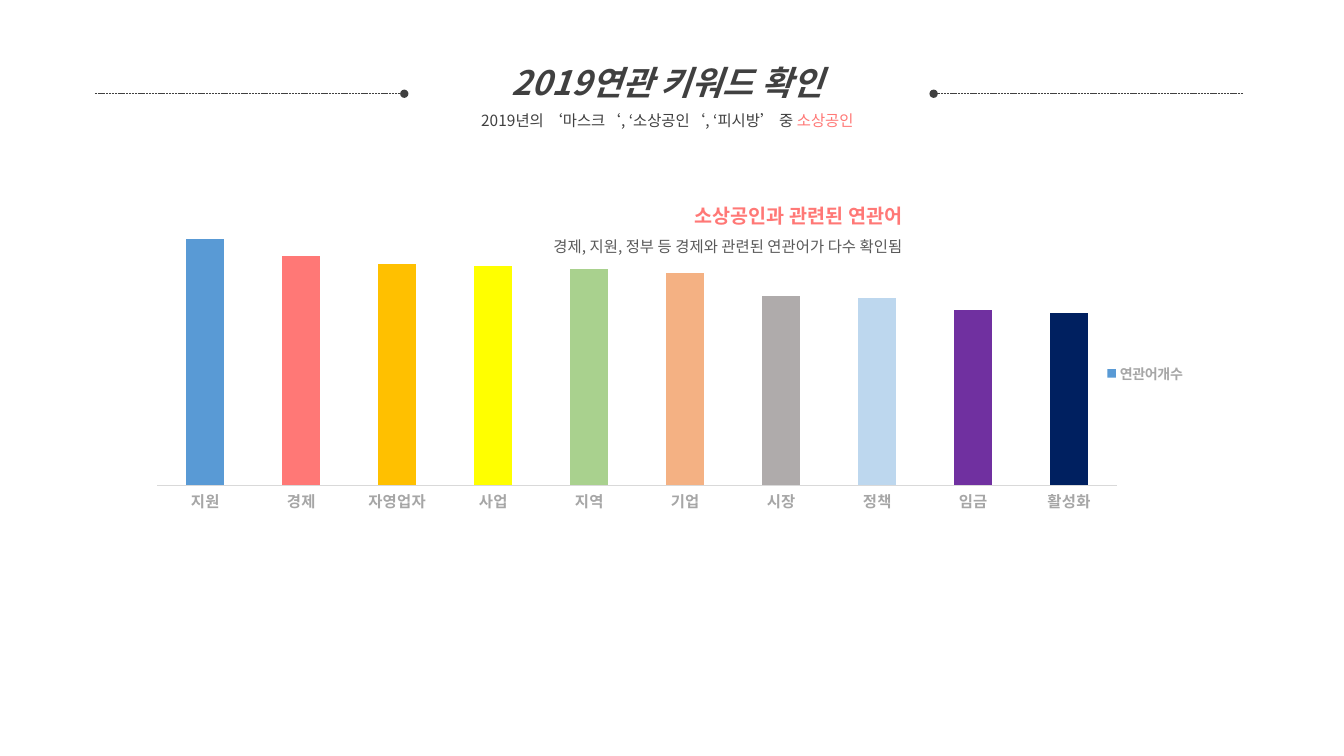
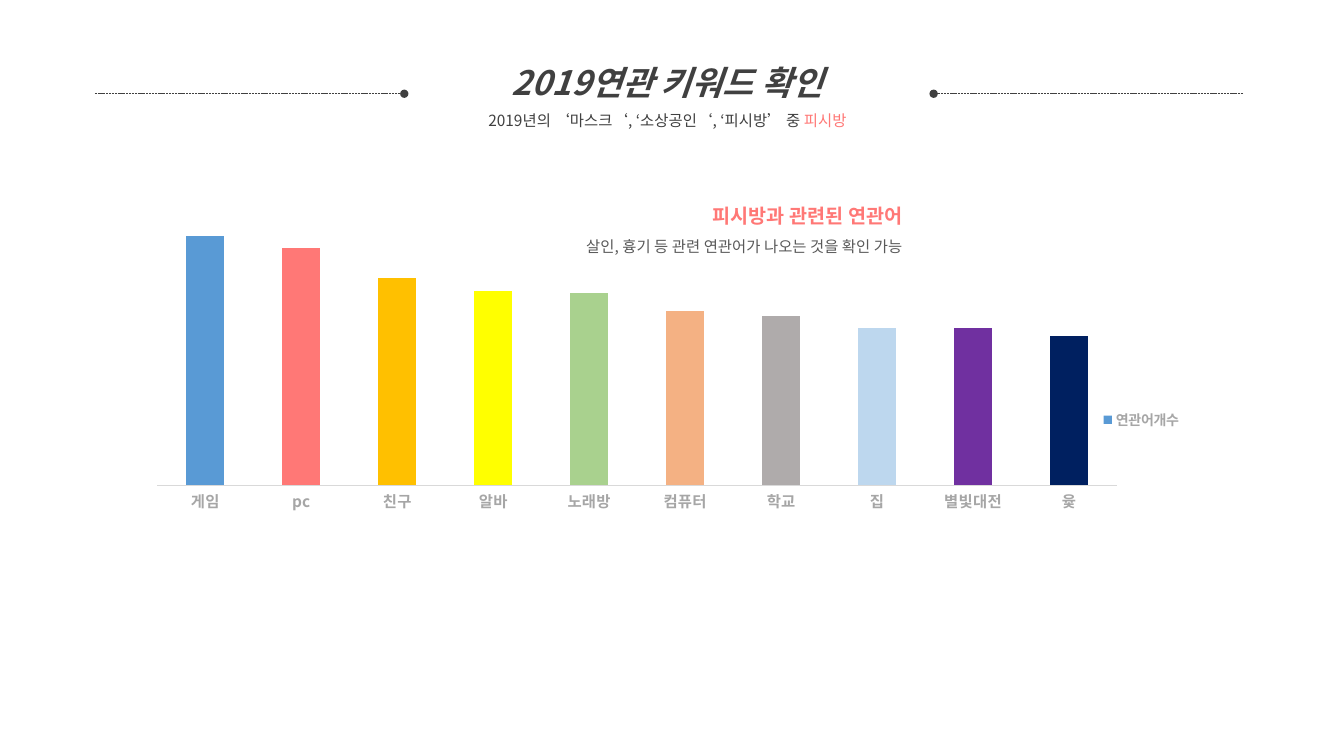
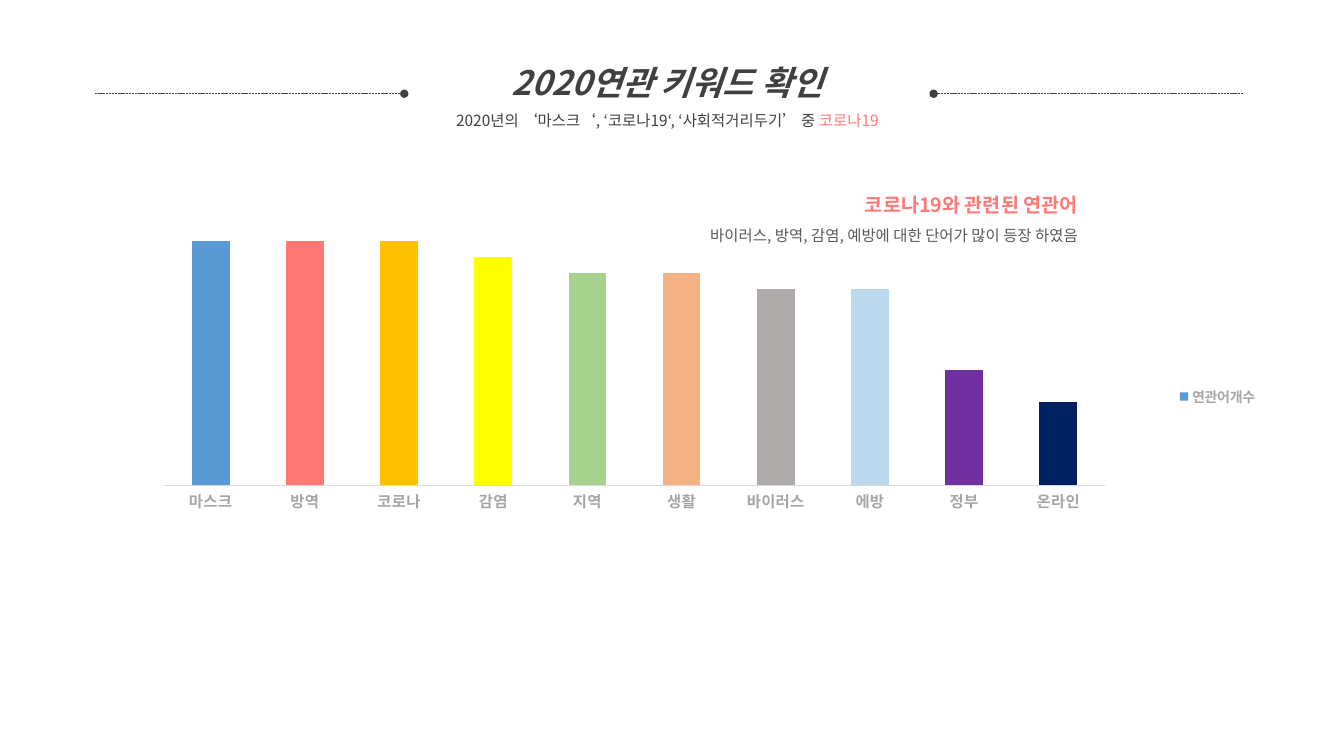
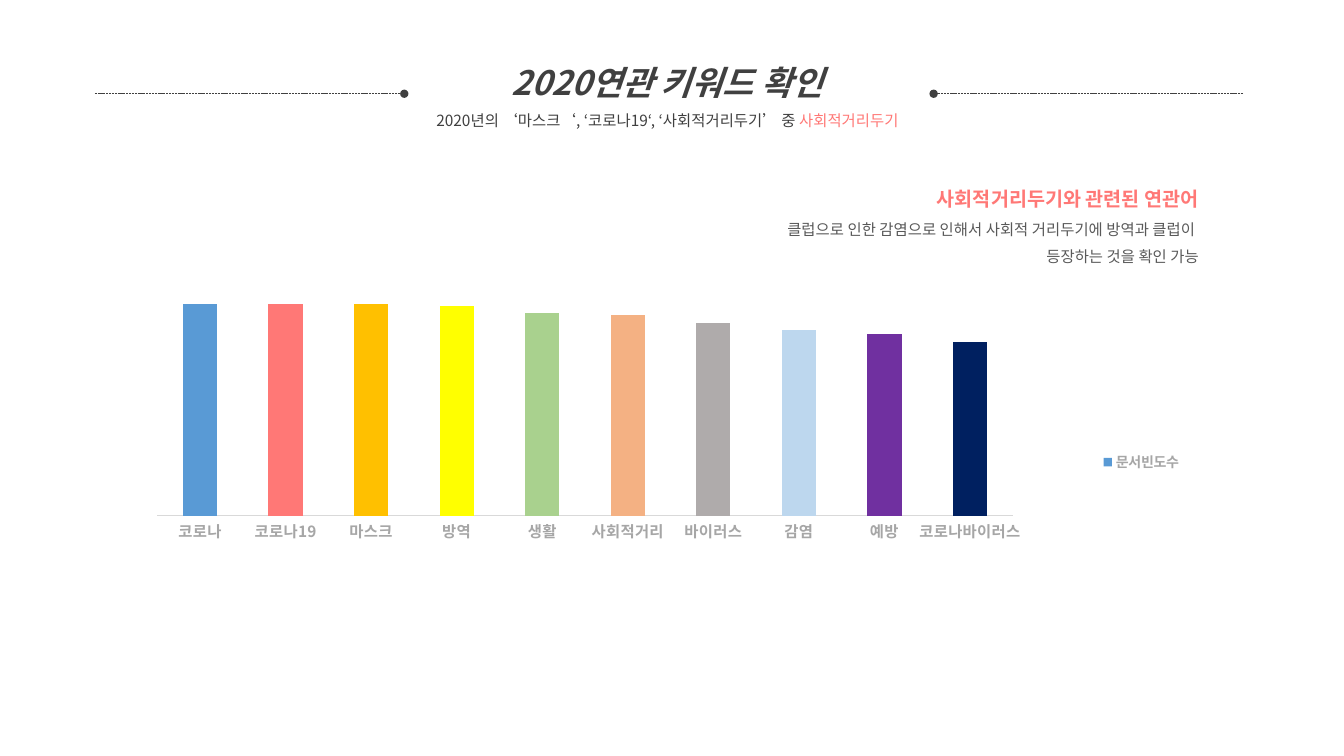
from copy import deepcopy
from dataclasses import dataclass
from typing import Optional

from lxml.etree import SubElement
from pptx import Presentation
from pptx.chart.data import CategoryChartData
from pptx.dml.color import RGBColor
from pptx.enum.chart import XL_CHART_TYPE, XL_LEGEND_POSITION, XL_TICK_MARK
from pptx.enum.dml import MSO_LINE
from pptx.enum.shapes import MSO_CONNECTOR
from pptx.enum.text import MSO_AUTO_SIZE, PP_ALIGN
from pptx.oxml import parse_xml
from pptx.oxml.ns import nsdecls, qn
from pptx.util import Inches, Pt


@dataclass(frozen=True)
class Theme:
    """Colours, font and type sizes shared by all slides."""
    font: str = "Noto Sans CJK KR"
    dark: str = "404040"
    body: str = "595959"
    accent: str = "FF7876"
    label: str = "A6A6A6"
    axis: str = "D9D9D9"
    bars: tuple[str, ...] = ("599AD5", "FF7876", "FFC000", "FFFF00", "A9D18E",
                             "F4B183", "AFABAB", "BDD7EE", "7030A0", "002060")
    title_size: float = 24
    heading_size: float = 14
    text_size: float = 11
    legend_size: float = 10
    line_spacing: float = 1.5


@dataclass(frozen=True)
class Box:
    """A rectangle, in inches."""
    left: float
    top: float
    width: float
    height: float

    def emu(self) -> tuple:
        """Return the rectangle as lengths for python-pptx."""
        return tuple(Inches(v) for v in (self.left, self.top, self.width, self.height))


@dataclass(frozen=True)
class TextRun:
    """One run of text; a newline in it becomes a line break."""
    text: str
    size: float
    color: str
    bold: bool = False
    italic: bool = False


@dataclass(frozen=True)
class KeywordChart:
    """The columns of one slide and their layout."""
    box: Box
    plot_width: float
    series: str
    counts: dict[str, int]
    top_value: float
    base_value: float = 0
    legend_at: Optional[tuple[float, float]] = None


@dataclass(frozen=True)
class KeywordSlide:
    """Everything that varies from slide to slide."""
    year: int
    topics: str
    keyword: str
    heading: str
    finding: str
    note_box: Box
    chart: KeywordChart


THEME = Theme()
TITLE_BOX = Box(4.04, 0.36, 5.16, 0.98)
CHART_BOX = Box(0.8, 1.86, 11.02, 4.61)
RULE_Y = 0.93
RULES = ((0.94, 4.01), (12.33, 9.26))
TOPICS_2019 = "‘마스크‘, ‘소상공인‘, ‘피시방’"
TOPICS_2020 = "‘마스크‘, ‘코로나19‘, ‘사회적거리두기’"

SLIDES = (
    KeywordSlide(
        2019, TOPICS_2019, "소상공인", "소상공인과 관련된 연관어",
        "경제, 지원, 정부 등 경제와 관련된 연관어가 다수 확인됨",
        Box(4.04, 1.86, 5.01, 0.73),
        KeywordChart(CHART_BOX, 0.864, "연관어개수",
                     {"지원": 100, "경제": 93, "자영업자": 90, "사업": 89, "지역": 88,
                      "기업": 86, "시장": 77, "정책": 76, "임금": 71, "활성화": 70},
                     113.4, legend_at=(0.92, 0.37))),
    KeywordSlide(
        2019, TOPICS_2019, "피시방", "피시방과 관련된 연관어",
        "살인, 흉기 등 관련 연관어가 나오는 것을 확인 가능",
        Box(4.04, 1.86, 5.01, 0.73),
        KeywordChart(CHART_BOX, 0.864, "연관어개수",
                     {"게임": 100, "pc": 95, "친구": 83, "알바": 78, "노래방": 77,
                      "컴퓨터": 70, "학교": 68, "집": 63, "별빛대전": 63, "윷": 60},
                     112)),
    KeywordSlide(
        2020, TOPICS_2020, "코로나19", "코로나19와 관련된 연관어",
        "바이러스, 방역, 감염, 예방에 대한 단어가 많이 등장 하였음",
        Box(5.78, 1.75, 5.01, 0.73),
        KeywordChart(Box(0.8, 1.86, 11.93, 4.61), 0.783, "연관어개수",
                     {"마스크": 100, "방역": 100, "코로나": 100, "감염": 99, "지역": 98,
                      "생활": 98, "바이러스": 97, "에방": 97, "정부": 92, "온라인": 90},
                     102.2, 84.8, (0.91, 0.42))),
    KeywordSlide(
        2020, TOPICS_2020, "사회적거리두기", "사회적거리두기와 관련된 연관어",
        "클럽으로 인한 감염으로 인해서 사회적 거리두기에 방역과 클럽이 \n"
        "등장하는 것을 확인 가능",
        Box(6.98, 1.69, 5.01, 1.01),
        KeywordChart(Box(0.8, 2.7, 11.02, 3.77), 0.77, "문서빈도수",
                     {"코로나": 100, "코로나19": 100, "마스크": 100, "방역": 99, "생활": 96,
                      "사회적거리": 95, "바이러스": 91, "감염": 88, "예방": 86,
                      "코로나바이러스": 82},
                     108)),
)


def rgb(color: str) -> RGBColor:
    """Turn a hex string into a colour."""
    return RGBColor.from_string(color)


def set_font(font, size: float, color: str, bold: bool = False) -> None:
    """Apply the theme font with a size, colour and weight."""
    font.name, font.size, font.bold = THEME.font, Pt(size), bold
    font.color.rgb = rgb(color)


def add_run(p, run: TextRun) -> None:
    """Add a run, giving any line break inside it the same type size."""
    for i, line in enumerate(run.text.split("\n")):
        if i:
            p.add_line_break()
        r = p.add_run()
        r.text = line
        set_font(r.font, run.size, run.color, run.bold)
        r.font.italic = run.italic
        props = r._r.get_or_add_rPr()
        SubElement(props, qn("a:ea"), typeface=THEME.font)
        if i:
            r._r.getprevious().append(deepcopy(props))


def add_text(s, box: Box, align: PP_ALIGN, paragraphs: list[list[TextRun]]) -> None:
    """Add a text box that grows with its paragraphs."""
    tf = s.shapes.add_textbox(*box.emu()).text_frame
    tf.word_wrap = True
    tf.auto_size = MSO_AUTO_SIZE.SHAPE_TO_FIT_TEXT
    for i, runs in enumerate(paragraphs):
        p = tf.add_paragraph() if i else tf.paragraphs[0]
        p.alignment, p.line_spacing = align, THEME.line_spacing
        for run in runs:
            add_run(p, run)


def add_rule(s, start: float, end: float) -> None:
    """Add a dashed line that ends in a dot beside the title."""
    rule = s.shapes.add_connector(MSO_CONNECTOR.STRAIGHT, Inches(start), Inches(RULE_Y),
                                  Inches(end), Inches(RULE_Y))
    rule.line.color.rgb = rgb(THEME.dark)
    rule.line.width = Pt(0.5)
    rule.line.dash_style = MSO_LINE.SQUARE_DOT
    SubElement(rule.line._get_or_add_ln(), qn("a:tailEnd"), type="oval")
    SubElement(rule._element.spPr, qn("a:effectLst"))


def set_layout(parent, index: int, target: str = "", **edges: float) -> None:
    """Place a chart part by fractions of the chart's size."""
    for old in parent.findall(qn("c:layout")):
        parent.remove(old)
    layout = parse_xml(f"<c:layout {nsdecls('c')}><c:manualLayout/></c:layout>")
    settings = {"layoutTarget": target} if target else {}
    settings |= {"xMode": "edge", "yMode": "edge", **edges}
    for name, value in settings.items():
        SubElement(layout[0], qn(f"c:{name}"), val=str(value))
    parent.insert(index, layout)


def add_keyword_chart(s, spec_chart: KeywordChart) -> None:
    """Add the column chart with one colour per keyword."""
    data = CategoryChartData()
    data.categories = list(spec_chart.counts)
    data.add_series(spec_chart.series, list(spec_chart.counts.values()))
    chart = s.shapes.add_chart(XL_CHART_TYPE.COLUMN_CLUSTERED,
                               *spec_chart.box.emu(), data).chart
    chart.has_title = False
    set_font(chart.font, THEME.legend_size, THEME.axis)

    plot = chart.plots[0]
    plot.gap_width, plot.vary_by_categories = 150, False
    series = plot.series[0]
    for i, color in enumerate(THEME.bars):
        fill = series.points[i].format.fill if i else series.format.fill
        fill.solid()
        fill.fore_color.rgb = rgb(color)

    keywords, values = chart.category_axis, chart.value_axis
    keywords.major_tick_mark = keywords.minor_tick_mark = XL_TICK_MARK.NONE
    keywords.format.line.color.rgb = rgb(THEME.axis)
    keywords.format.line.width = Pt(0.75)
    set_font(keywords.tick_labels.font, THEME.text_size, THEME.label, True)
    values.visible = values.has_major_gridlines = False
    values.minimum_scale = spec_chart.base_value
    values.maximum_scale = spec_chart.top_value

    chart.has_legend = True
    chart.legend.position = XL_LEGEND_POSITION.RIGHT
    chart.legend.include_in_layout = False
    set_font(chart.legend.font, THEME.legend_size, THEME.label, True)

    root = chart.element
    set_layout(root.xpath(".//c:plotArea")[0], 0, "inner",
               x=0.069, y=0.04, w=spec_chart.plot_width, h=0.601)
    if spec_chart.legend_at:
        x, y = spec_chart.legend_at
        set_layout(root.xpath(".//c:legend")[0], 1, x=x, y=y)
    for props in root.xpath(".//a:defRPr"):
        SubElement(props, qn("a:ea"), typeface=THEME.font)


def add_header(s, content: KeywordSlide) -> None:
    """Add the title, its subtitle and the rules on both sides."""
    for start, end in RULES:
        add_rule(s, start, end)
    add_text(s, TITLE_BOX, PP_ALIGN.CENTER, [
        [TextRun(f"{content.year}연관 키워드 확인", THEME.title_size, THEME.dark, True, True)],
        [TextRun(f"{content.year}년의 {content.topics} 중 ", THEME.text_size, THEME.dark),
         TextRun(content.keyword, THEME.text_size, THEME.accent)],
    ])


def add_keyword_slide(prs, content: KeywordSlide) -> None:
    """Add one slide: chart, header and finding."""
    s = prs.slides.add_slide(prs.slide_layouts[6])
    add_keyword_chart(s, content.chart)
    add_header(s, content)
    add_text(s, content.note_box, PP_ALIGN.RIGHT, [
        [TextRun(content.heading, THEME.heading_size, THEME.accent, True)],
        [TextRun(content.finding, THEME.text_size, THEME.body)],
    ])


def main() -> None:
    """Build and save the presentation."""
    prs = Presentation()
    prs.slide_width, prs.slide_height = Inches(13.33), Inches(7.5)
    for content in SLIDES:
        add_keyword_slide(prs, content)
    prs.save("out.pptx")


main()
